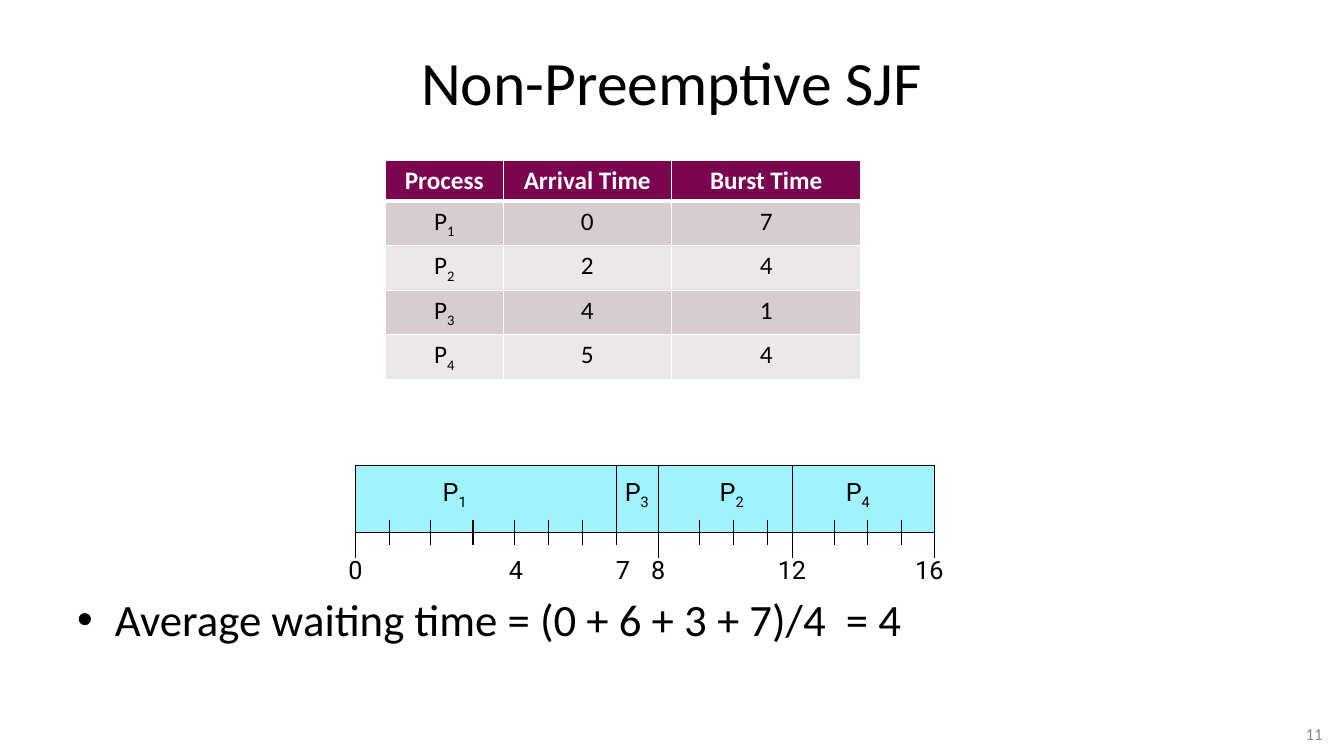
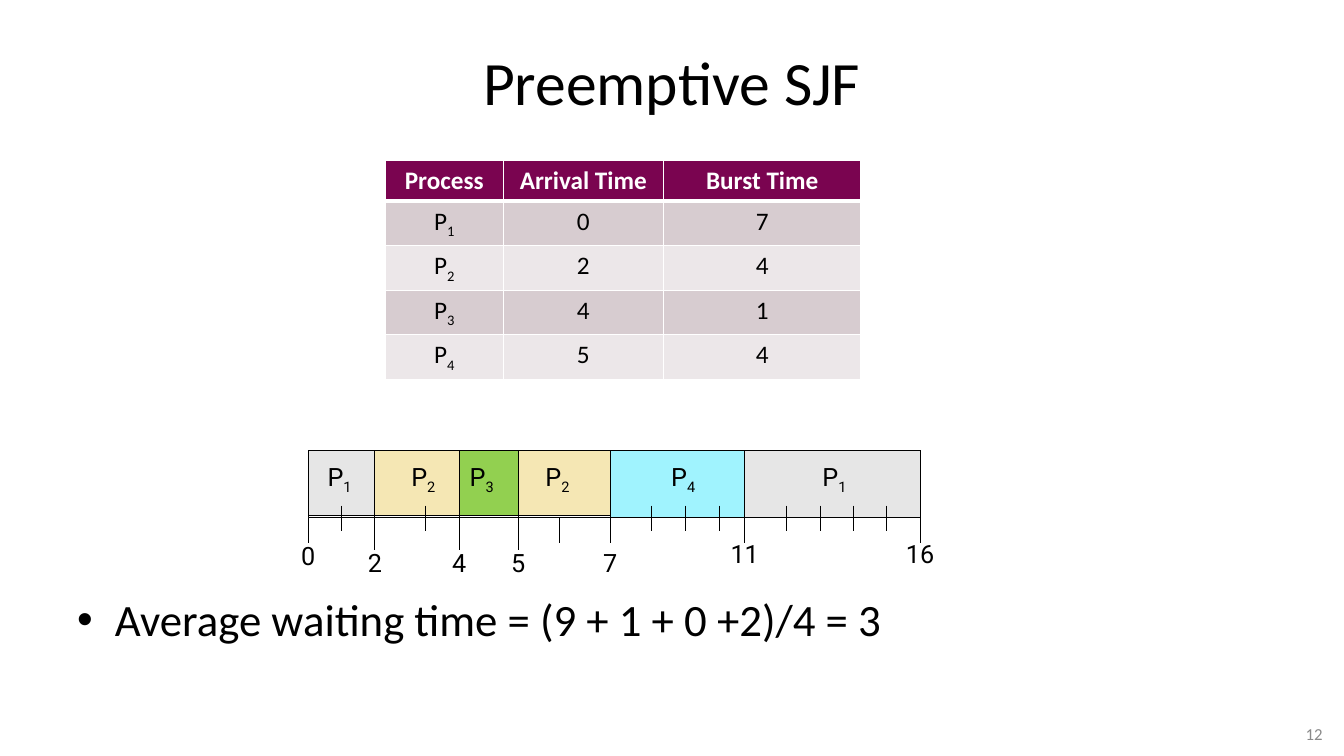
from lxml import etree
from pptx import Presentation
from pptx.dml.color import RGBColor
from pptx.enum.shapes import MSO_CONNECTOR, MSO_SHAPE
from pptx.enum.text import MSO_ANCHOR, PP_ALIGN
from pptx.oxml.ns import qn
from pptx.util import Cm, Pt

CENTER, RIGHT = PP_ALIGN.CENTER, PP_ALIGN.RIGHT
MIDDLE = MSO_ANCHOR.MIDDLE
RECTANGLE, STRAIGHT = MSO_SHAPE.RECTANGLE, MSO_CONNECTOR.STRAIGHT

COLORS = {
    "black": "000000", "white": "FFFFFF", "grey": "898989",
    "header": "7A0450", "odd_row": "D7CCD0", "even_row": "ECE7E9",
    "cyan": "A0F3FE", "green": "92D050", "sand": "F5E7B4", "silver": "E6E6E6",
}
TEXT_FONT, CHART_FONT = "Calibri", "Roboto"
PROCESS_ROWS = [
    ("Process", "Arrival Time", "Burst Time"),
    ("P1", "0", "7"), ("P2", "2", "4"), ("P3", "4", "1"), ("P4", "5", "4"),
]
TICK_ABOVE, TICK_BELOW, LONG_TICK = 0.31, 0.33, 0.64

# All lengths are in cm. "ticks" holds the x of each time unit from 0 to 16.
# bars: start, end, height, colour; dividers: time -> length below the bar;
# processes: name, centre x; times: time -> (x offset, centre y)
NON_PREEMPTIVE = {
    "top": 11.73, "height": 1.68,
    "ticks": [8.96, 9.81, 10.86, 11.92, 12.97, 13.82, 14.67, 15.53, 16.59,
              17.64, 18.48, 19.34, 19.96, 21.02, 21.87, 22.71, 23.56],
    "bars": [(0, 16, 1.68, "cyan")],
    "dividers": {7: TICK_BELOW, 8: LONG_TICK, 12: LONG_TICK},
    "long_ticks": [0, 16],
    "processes": [("P1", 11.46), ("P3", 16.05), ("P2", 18.44), ("P4", 21.62)],
    "times": {0: (0, 14.35), 4: (0.03, 14.35), 7: (0.17, 14.35),
              8: (0, 14.35), 12: (0, 14.35), 16: (-0.14, 14.35)},
}
PREEMPTIVE = {
    "top": 11.35, "height": 1.7,
    "ticks": [7.77, 8.61, 9.45, 10.72, 11.57, 13.06, 14.1, 15.38, 16.43,
              17.27, 18.14, 18.77, 19.81, 20.68, 21.51, 22.35, 23.19],
    "bars": [(0, 2, 1.65, "silver"), (2, 4, 1.65, "sand"),
             (4, 5, 1.65, "green"), (5, 7, 1.65, "sand"),
             (7, 11, 1.7, "cyan"), (11, 16, 1.7, "silver"),
             (0, 16, 1.7, None)],
    "dividers": {2: 0.81, 4: 0.81, 5: 0.81, 7: LONG_TICK, 11: LONG_TICK},
    "long_ticks": [0, 6, 16],
    "processes": [("P1", 8.56), ("P2", 10.67), ("P3", 12.14),
                  ("P2", 14.05), ("P4", 17.22), ("P1", 21.03)],
    "times": {0: (0, 14), 2: (0, 14.17), 4: (0, 14.17), 5: (0, 14.17),
              7: (0, 14.17), 11: (0, 13.94), 16: (0, 13.94)},
}
SLIDES = [
    ("Non-Preemptive SJF", "Average waiting time = (0 + 6 + 3 + 7)/4  = 4",
     "11", (2.97, 4.24, 4.78), NON_PREEMPTIVE),
    ("Preemptive SJF", "Average waiting time = (9 + 1 + 0 +2)/4 = 3",
     "12", (2.97, 4.04, 4.98), PREEMPTIVE),
]


def rgb(name):
    return RGBColor.from_string(COLORS[name])


def format_paragraph(paragraph, size, align, color="black", font=TEXT_FONT):
    paragraph.alignment = align
    paragraph.font.size = Pt(size)
    paragraph.font.name = font
    paragraph.font.color.rgb = rgb(color)


def write_label(paragraph, text):
    """Write text; the number of a process name becomes a subscript."""
    if text[0] == "P" and text[1:].isdigit():
        paragraph.add_run().text = "P"
        number = paragraph.add_run()
        number.text = text[1:]
        number._r.get_or_add_rPr().set("baseline", "-25000")
    else:
        paragraph.add_run().text = text


def fill_placeholder(placeholder, text, top, height, size, align=None):
    placeholder.left, placeholder.width = Cm(1.69), Cm(30.48)
    placeholder.top, placeholder.height = Cm(top), Cm(height)
    placeholder.text_frame.text = text
    paragraph = placeholder.text_frame.paragraphs[0]
    format_paragraph(paragraph, size, align)
    paragraph.space_before = Pt(0)


def add_slide_number(slide, number):
    box = slide.shapes.add_textbox(Cm(29.95), Cm(18.12), Cm(3.63), Cm(0.74))
    box.text_frame.word_wrap = True
    box.text_frame.vertical_anchor = MIDDLE
    paragraph = box.text_frame.paragraphs[0]
    paragraph.text = number
    format_paragraph(paragraph, 12, RIGHT, "grey")


def set_borders(cell, **widths):
    """Give the cell white borders; each width is in points."""
    properties = cell._tc.get_or_add_tcPr()
    for side in "LRTB":
        line = etree.SubElement(properties, qn(f"a:ln{side}"),
                                w=str(Pt(widths.get(side, 1))))
        fill = etree.SubElement(line, qn("a:solidFill"))
        etree.SubElement(fill, qn("a:srgbClr"), val=COLORS["white"])


def add_process_table(slide, widths):
    frame = slide.shapes.add_table(len(PROCESS_ROWS), len(widths), Cm(9.71),
                                   Cm(4.04), Cm(sum(widths)), Cm(5.51))
    table = frame.table
    for column, width in zip(table.columns, widths):
        column.width = Cm(width)
    for i, values in enumerate(PROCESS_ROWS):
        header = i == 0
        table.rows[i].height = Cm(1.03 if header else 1.12)
        fill = "header" if header else "odd_row" if i % 2 else "even_row"
        for j, value in enumerate(values):
            cell = table.cell(i, j)
            set_borders(cell, B=3 if header else 1, T=3 if i == 1 else 1)
            cell.fill.solid()
            cell.fill.fore_color.rgb = rgb(fill)
            paragraph = cell.text_frame.paragraphs[0]
            write_label(paragraph, value)
            format_paragraph(paragraph, 18, CENTER,
                             "white" if header else "black")
            paragraph.font.bold = header


def add_bar(slide, left, top, right, height, color):
    bar = slide.shapes.add_shape(RECTANGLE, Cm(left), Cm(top),
                                 Cm(right - left), Cm(height))
    bar.shadow.inherit = False
    if color:
        bar.fill.solid()
        bar.fill.fore_color.rgb = rgb(color)
    else:
        bar.fill.background()
    bar.line.color.rgb = rgb("black")
    bar.line.width = Pt(0.75)


def add_vertical_line(slide, x, top, bottom):
    line = slide.shapes.add_connector(STRAIGHT, Cm(x), Cm(top),
                                      Cm(x), Cm(bottom))
    line.line.color.rgb = rgb("black")
    line.line.width = Pt(0.75)
    etree.SubElement(line._element.spPr, qn("a:effectLst"))


def add_chart_label(slide, text, x, y):
    """Add a label centred on the point x, y."""
    width, height = 1.2, 1.02
    box = slide.shapes.add_textbox(Cm(x - width / 2), Cm(y - height / 2),
                                   Cm(width), Cm(height))
    frame = box.text_frame
    frame.word_wrap = False
    frame.margin_left = frame.margin_right = 0
    frame.vertical_anchor = MIDDLE
    paragraph = frame.paragraphs[0]
    write_label(paragraph, text)
    format_paragraph(paragraph, 18, CENTER, font=CHART_FONT)


def add_gantt_chart(slide, chart):
    top, ticks = chart["top"], chart["ticks"]
    bottom = top + chart["height"]
    for start, end, height, color in chart["bars"]:
        add_bar(slide, ticks[start], top, ticks[end], height, color)

    # Dividers between processes, long ticks and short ticks
    for time, x in enumerate(ticks):
        if time in chart["dividers"]:
            add_vertical_line(slide, x, top, bottom + chart["dividers"][time])
        elif time in chart["long_ticks"]:
            add_vertical_line(slide, x, bottom, bottom + LONG_TICK)
        else:
            add_vertical_line(slide, x, bottom - TICK_ABOVE,
                              bottom + TICK_BELOW)

    # Process names and times
    for name, x in chart["processes"]:
        add_chart_label(slide, name, x, top + 0.7)
    for time, (offset, y) in chart["times"].items():
        add_chart_label(slide, str(time), ticks[time] + offset, y)


def main():
    presentation = Presentation()
    presentation.slide_width, presentation.slide_height = Cm(33.87), Cm(19.05)
    layout = presentation.slide_layouts[1]
    for title, result, number, widths, chart in SLIDES:
        slide = presentation.slides.add_slide(layout)
        fill_placeholder(slide.shapes.title, title, 0.76, 2.57, 44, CENTER)
        fill_placeholder(slide.placeholders[1], result, 14.79, 2.87, 32)
        add_slide_number(slide, number)
        add_process_table(slide, widths)
        add_gantt_chart(slide, chart)
    presentation.save("out.pptx")


if __name__ == "__main__":
    main()
